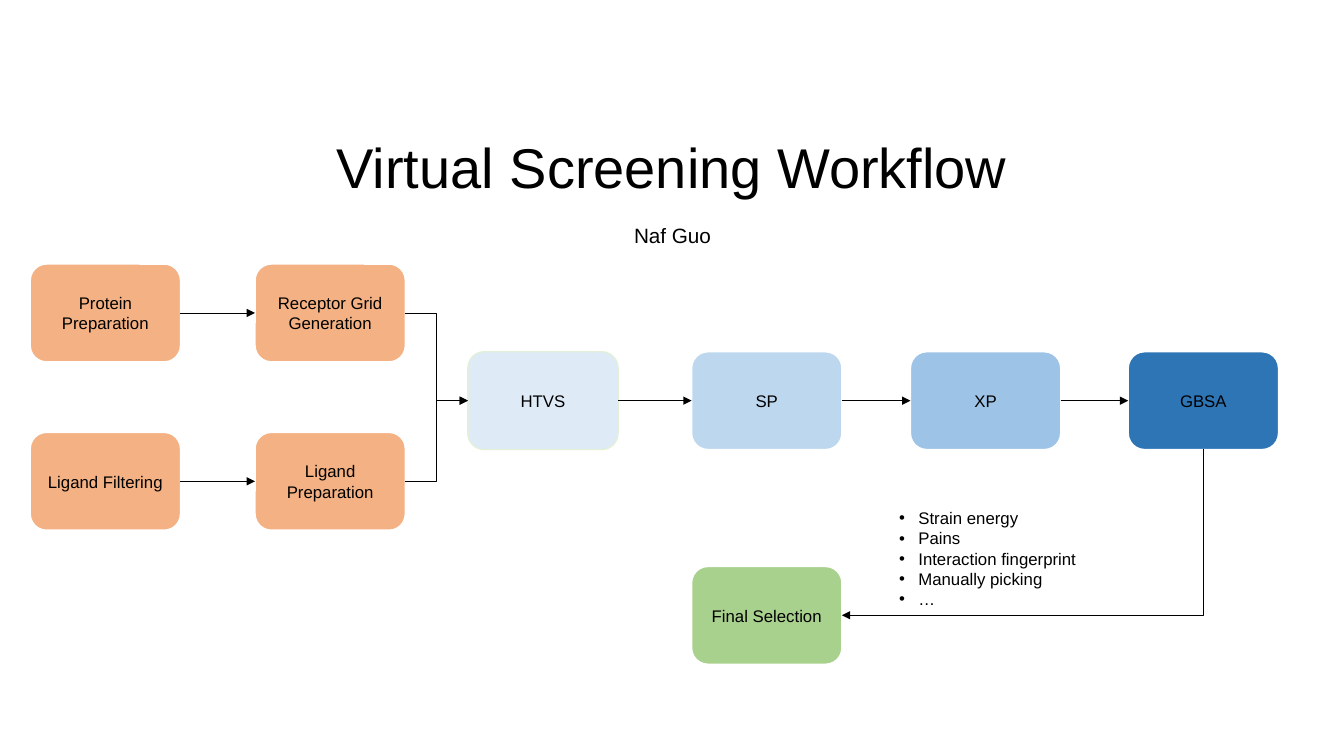
from lxml import etree
from pptx import Presentation
from pptx import util as u
from pptx.dml.color import RGBColor
from pptx.enum import shapes, text
from pptx.oxml import ns

PX = 9144
FONT = "Arial"
COLORS = {
    "black": "000000",
    "white": "FFFFFF",
    "orange": "F4B183",
    "palest": "DEEBF7",
    "pale": "BDD7EE",
    "medium": "9DC3E6",
    "dark": "2E75B6",
    "green": "A9D18E",
    "mint": "E2F0D9",
}
STEP_WIDTH, STEP_HEIGHT = 149, 97
TOP, LEFT, BOTTOM, RIGHT = range(4)
STEPS = [
    ("Protein Preparation", 30, 262, "orange", "white"),
    ("Receptor Grid Generation", 253, 262, "orange", "white"),
    ("Ligand Filtering", 30, 429, "orange", "white"),
    ("Ligand Preparation", 253, 429, "orange", "white"),
    ("HTVS", 464, 349, "palest", "mint"),
    ("SP", 686, 349, "pale", "white"),
    ("XP", 903, 349, "medium", "white"),
    ("GBSA", 1119, 349, "dark", "white"),
    ("Final Selection", 686, 562, "green", "white"),
]
STRAIGHT_LINKS = [
    ("Protein Preparation", "Receptor Grid Generation"),
    ("Ligand Filtering", "Ligand Preparation"),
    ("HTVS", "SP"),
    ("SP", "XP"),
    ("XP", "GBSA"),
]
MERGING_LINKS = [("Receptor Grid Generation", "HTVS"), ("Ligand Preparation", "HTVS")]
CRITERIA = ["Strain energy", "Pains", "Interaction fingerprint", "Manually picking", "…"]


def color(name):
    return RGBColor.from_string(COLORS[name])


def style(para, size, align):
    para.alignment = align
    para.font.name = FONT
    para.font.size = u.Pt(size)
    para.font.color.rgb = color("black")


def fill_heading(holder, box, words, size, spacing, anchor):
    holder.left, holder.top, holder.width, holder.height = [n * PX for n in box]
    frame = holder.text_frame
    frame.text = words
    frame.auto_size = text.MSO_AUTO_SIZE.NONE
    frame.vertical_anchor = anchor
    para = frame.paragraphs[0]
    style(para, size, text.PP_ALIGN.CENTER)
    para.line_spacing = spacing
    return para


def add_headings(page):
    fill_heading(page.shapes.title, (281, 93, 770, 111), "Virtual Screening Workflow",
                 40, 0.9, text.MSO_ANCHOR.BOTTOM)
    author = fill_heading(page.placeholders[1], (569, 223, 196, 28), "Naf Guo",
                          14.8, 0.7, text.MSO_ANCHOR.TOP)
    author.space_before = u.Pt(10)


def add_step(page, label, left, top, fill, outline):
    step = page.shapes.add_shape(shapes.MSO_SHAPE.ROUNDED_RECTANGLE, left * PX, top * PX,
                                 STEP_WIDTH * PX, STEP_HEIGHT * PX)
    step.shadow.inherit = False
    step.fill.solid()
    step.fill.fore_color.rgb = color(fill)
    step.line.color.rgb = color(outline)
    step.line.width = u.Pt(1)
    frame = step.text_frame
    frame.word_wrap = True
    frame.vertical_anchor = text.MSO_ANCHOR.MIDDLE
    frame.text = label
    style(frame.paragraphs[0], 12, text.PP_ALIGN.CENTER)
    return step


def add_link(page, kind, start, start_site, end, end_site, arrow="tailEnd"):
    link = page.shapes.add_connector(kind, 0, 0, 0, 0)
    link.begin_connect(start, start_site)
    link.end_connect(end, end_site)
    link.line.color.rgb = color("black")
    link.line.width = u.Pt(0.5)
    properties = link._element.spPr
    etree.SubElement(properties.find(ns.qn("a:ln")), ns.qn(f"a:{arrow}"), type="triangle")
    etree.SubElement(properties, ns.qn("a:effectLst"))
    return link


def add_workflow(page):
    steps = {step[0]: add_step(page, *step) for step in STEPS}
    for kind, pairs in ((shapes.MSO_CONNECTOR.STRAIGHT, STRAIGHT_LINKS),
                        (shapes.MSO_CONNECTOR.ELBOW, MERGING_LINKS)):
        for start, end in pairs:
            add_link(page, kind, steps[start], RIGHT, steps[end], LEFT)
    corner = add_link(page, shapes.MSO_CONNECTOR.ELBOW, steps["Final Selection"], RIGHT,
                      steps["GBSA"], BOTTOM, "headEnd")
    corner._element.spPr.find(ns.qn("a:prstGeom")).set("prst", "bentConnector2")


def add_criteria(page, box):
    frame = page.shapes.add_textbox(*[n * PX for n in box]).text_frame
    frame.word_wrap = True
    frame.text = "\n".join(CRITERIA)
    for para in frame.paragraphs:
        style(para, 12, text.PP_ALIGN.LEFT)
        properties = para._p.get_or_add_pPr()
        properties.set("marL", str(19 * PX))
        properties.set("indent", str(-19 * PX))
        bullet_font = etree.Element(ns.qn("a:buFont"), typeface=FONT)
        bullet = etree.Element(ns.qn("a:buChar"), char="•")
        properties.insert(0, bullet_font)
        properties.insert(1, bullet)


def main():
    deck = Presentation()
    deck.slide_width, deck.slide_height = 1333 * PX, 750 * PX
    page = deck.slides.add_slide(deck.slide_layouts[0])
    page.background.fill.solid()
    page.background.fill.fore_color.rgb = color("white")
    add_headings(page)
    add_workflow(page)
    add_criteria(page, (882, 499, 282, 111))
    deck.save("out.pptx")


if __name__ == "__main__":
    main()
